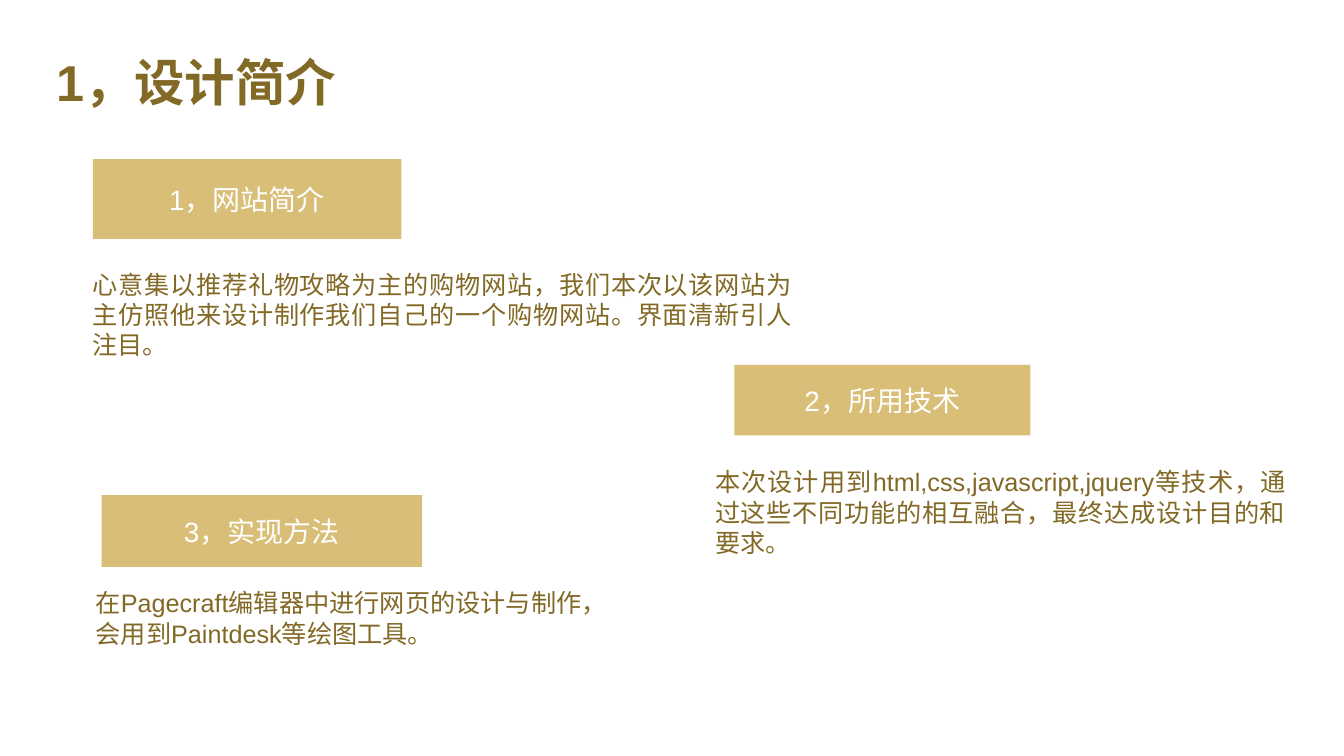
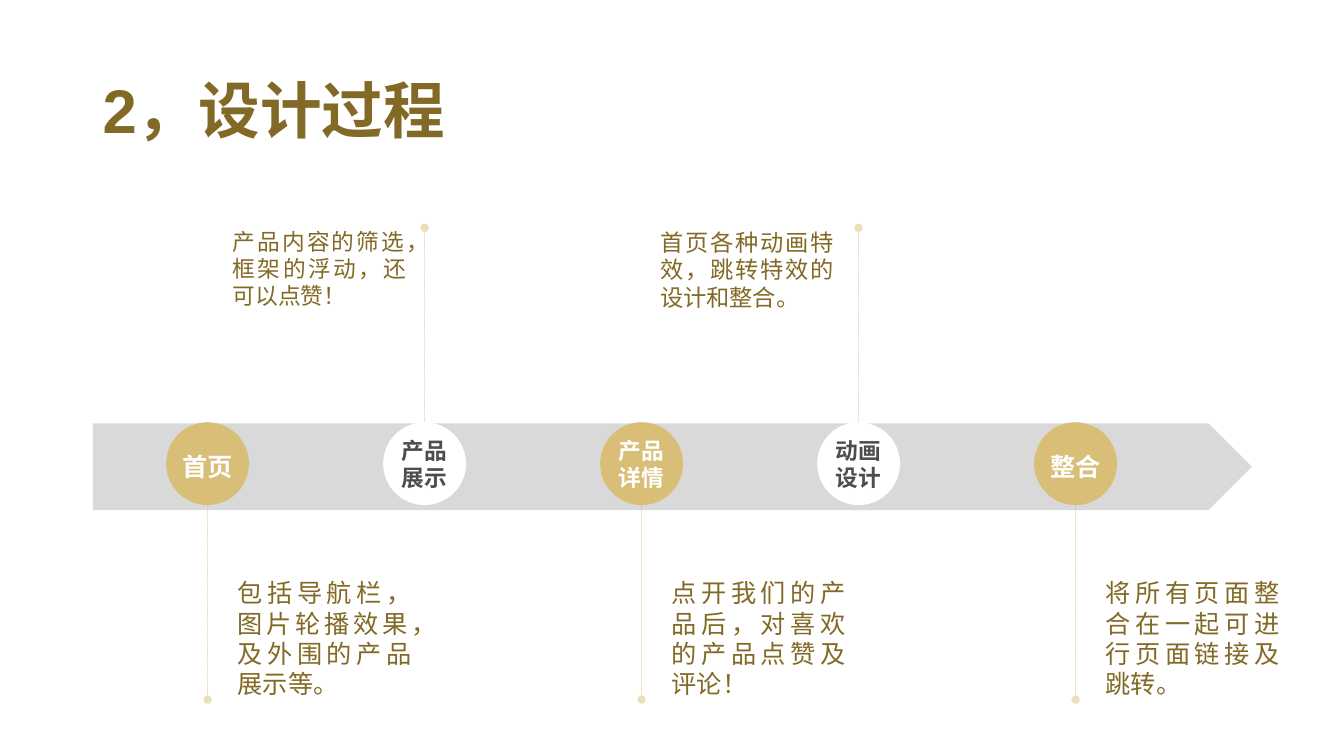
from lxml import etree
from pptx import Presentation
from pptx import util as u
from pptx.dml.color import RGBColor
from pptx.enum import dml, lang, shapes, text
from pptx.oxml import ns

BROWN = RGBColor(0x82, 0x69, 0x25)
GOLD = RGBColor(0xD8, 0xBE, 0x76)
GREY = RGBColor(0xD9, 0xD9, 0xD9)
DARK = RGBColor(0x4D, 0x4D, 0x4D)
WHITE = RGBColor(0xFF, 0xFF, 0xFF)
FONT = "Arial"
LEFT, CENTER, JUSTIFY = text.PP_ALIGN.LEFT, text.PP_ALIGN.CENTER, text.PP_ALIGN.JUSTIFY
TOP, MIDDLE, BOTTOM = text.MSO_ANCHOR.TOP, text.MSO_ANCHOR.MIDDLE, text.MSO_ANCHOR.BOTTOM


def write(box, words, size, color, align=LEFT, anchor=MIDDLE, bold=False,
          spacing=1.0, before=0, inset=(7.2, 3.6)):
    frame = box.text_frame
    frame.word_wrap = True
    frame.vertical_anchor = anchor
    frame.margin_left = frame.margin_right = u.Pt(inset[0])
    frame.margin_top = frame.margin_bottom = u.Pt(inset[1])
    para = frame.paragraphs[0]
    para.alignment = align
    para.line_spacing = spacing
    para.space_before = u.Pt(before)
    span = para.add_run()
    span.text = words
    span.font.size = u.Pt(size)
    span.font.bold = bold
    span.font.name = FONT
    span.font.color.rgb = color
    span.font.language_id = lang.MSO_LANGUAGE_ID.SIMPLIFIED_CHINESE
    etree.SubElement(span.font._element, ns.qn("a:ea"), typeface=FONT)


def add_filled(page, preset, bounds, color):
    shape = page.shapes.add_shape(preset, *map(u.Pt, bounds))
    shape.shadow.inherit = False
    shape.fill.solid()
    shape.fill.fore_color.rgb = color
    shape.line.fill.background()
    return shape


deck = Presentation()
deck.slide_width, deck.slide_height = u.Pt(960), u.Pt(540)

titles = [
    ("1，设计简介", 36, (33, 24.5, 653, 72.7)),
    ("2，设计过程", 44, (66.3, 28.8, 828, 104.4)),
]
pages = []
for words, size, bounds in titles:
    page = deck.slides.add_slide(deck.slide_layouts[6])
    title = page.shapes.add_textbox(*map(u.Pt, bounds))
    write(title, words, size, BROWN, bold=True, spacing=0.9)
    pages.append(page)
intro, process = pages

sections = [
    ("1，网站简介", (66.3, 113.6, 220.4, 57),
     "心意集以推荐礼物攻略为主的购物网站，我们本次以该网站为主仿照他来设计制作我们自己的一个购物网站。界面清新引人注目。",
     (59, 188.6, 514, 90), JUSTIFY, 6),
    ("2，所用技术", (524.6, 260.6, 211.4, 50.4),
     "本次设计用到html,css,javascript,jquery等技术，通过这些不同功能的相互融合，最终达成设计目的和要求。",
     (503.7, 329.8, 421.9, 71.3), JUSTIFY, 6),
    ("3，实现方法", (72.5, 353.7, 229, 51.2),
     "在Pagecraft编辑器中进行网页的设计与制作，会用到Paintdesk等绘图工具。",
     (61.2, 416.2, 378, 50.4), LEFT, 0),
]
for heading, label_bounds, body, body_bounds, align, before in sections:
    label = add_filled(intro, shapes.MSO_SHAPE.RECTANGLE, label_bounds, GOLD)
    write(label, heading, 20, WHITE, CENTER)
    box = intro.shapes.add_textbox(*map(u.Pt, body_bounds))
    write(box, body, 18, BROWN, align, TOP, before=before)

add_filled(process, shapes.MSO_SHAPE.PENTAGON, (66.3, 302.4, 828, 62), GREY)

FIRST_X, STEP_X = 148.3, 155
CIRCLE_TOP, DIAMETER = 301.6, 59.2
NOTE_WIDTH = 138.2
steps = [
    ("首页", 18, 1.2, "包括导航栏，图片轮播效果，及外围的产品展示等。", 18, 14.4),
    ("产品展示", 16.2, 1.0, "产品内容的筛选，框架的浮动，还可以点赞！", 16.2, -144.2),
    ("产品详情", 16.2, 1.0, "点开我们的产品后，对喜欢的产品点赞及评论！", 18, 14.4),
    ("动画设计", 16.2, 1.0, "首页各种动画特效，跳转特效的设计和整合。", 16.6, -148.9),
    ("整合", 18, 1.2, "将所有页面整合在一起可进行页面链接及跳转。", 18, 14.4),
]
for index, (name, name_size, spacing, note, note_size, offset) in enumerate(steps):
    x = FIRST_X + index * STEP_X
    if index % 2:
        dot_y, inner_y, note_top, note_height = 162.7, 311.8, 162.7, 65.5
        anchor, fill, color = TOP, WHITE, DARK
    else:
        dot_y, inner_y, note_top, note_height = 499.7, 349.9, 412, 87.1
        anchor, fill, color = BOTTOM, GOLD, WHITE

    stem = process.shapes.add_connector(
        shapes.MSO_CONNECTOR.STRAIGHT, u.Pt(x), u.Pt(dot_y), u.Pt(x), u.Pt(inner_y))
    stem.line.width = u.Pt(0.5)
    stem.line.color.rgb = GOLD
    stem.line.dash_style = dml.MSO_LINE.SQUARE_DOT
    properties = stem._element.spPr
    outline = properties.find(ns.qn("a:ln"))
    tint = outline.find(".//" + ns.qn("a:srgbClr"))
    etree.SubElement(tint, ns.qn("a:alpha"), val="50000")
    etree.SubElement(outline, ns.qn("a:headEnd"), type="oval")
    etree.SubElement(properties, ns.qn("a:effectLst"))

    circle = add_filled(process, shapes.MSO_SHAPE.OVAL,
                        (x - DIAMETER / 2, CIRCLE_TOP, DIAMETER, DIAMETER), fill)
    write(circle, name, name_size, color, CENTER, bold=True, spacing=spacing, inset=(0, 0))

    box = process.shapes.add_textbox(
        u.Pt(x + offset), u.Pt(note_top), u.Pt(NOTE_WIDTH), u.Pt(note_height))
    write(box, note, note_size, BROWN, JUSTIFY, anchor, before=6, inset=(7.2, 0))

deck.save("out.pptx")
